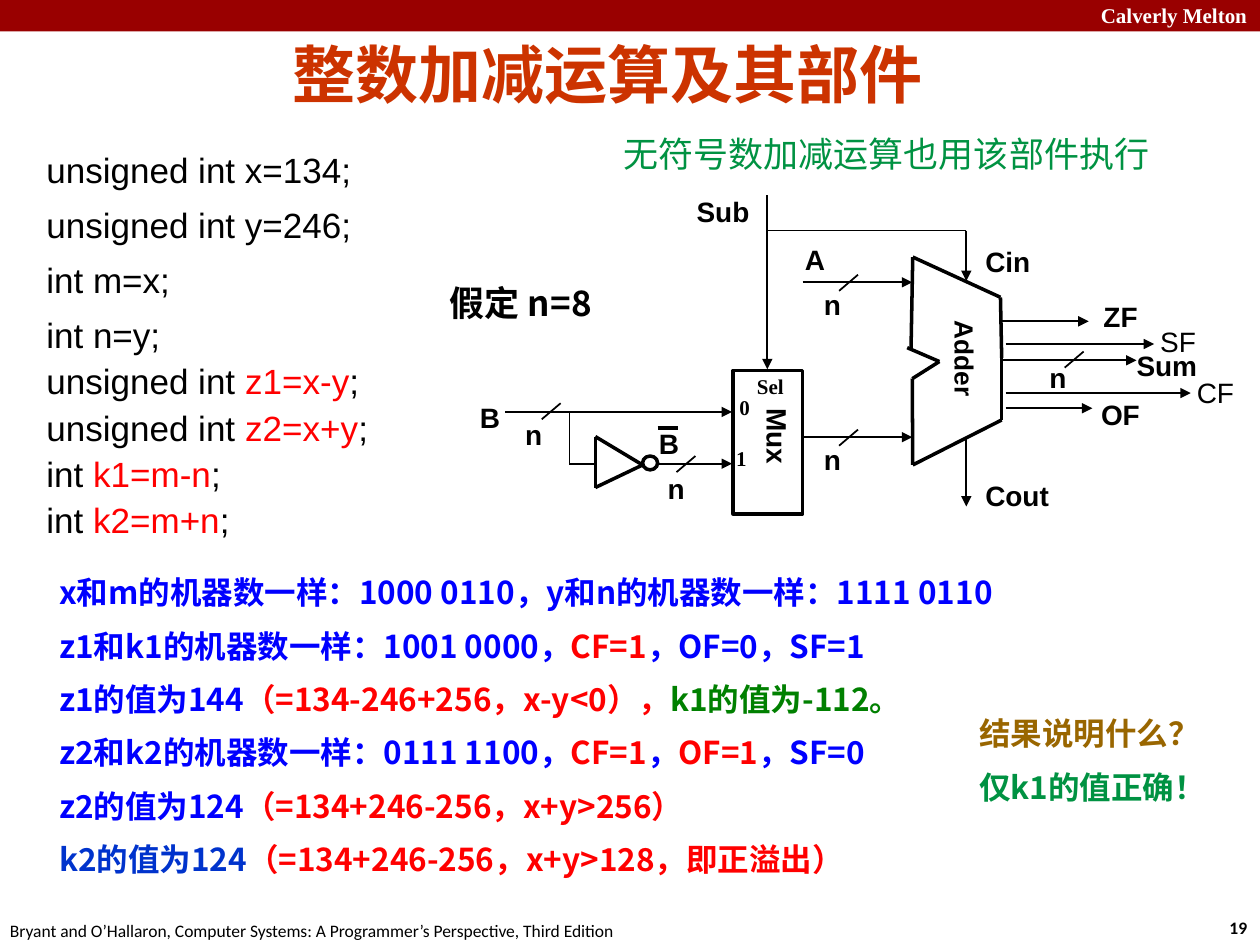
from itertools import pairwise

from lxml.etree import SubElement
from pptx import Presentation
from pptx.dml.color import RGBColor
from pptx.enum.shapes import MSO_CONNECTOR as Link, MSO_SHAPE as Preset
from pptx.enum.text import MSO_ANCHOR as Anchor, PP_ALIGN as Align
from pptx.oxml.ns import qn
from pptx.util import Pt

COLORS = {
    "black": "000000", "white": "FFFFFF", "banner": "990000", "title": "CC3300",
    "green": "009242", "leaf": "008000", "red": "FF0000", "blue": "0000FF",
    "navy": "0033CC", "brown": "996600",
}
CJK = "Noto Sans CJK SC"
SERIF = "Times New Roman"


def rgb(name):
    """Return the named colour."""
    return RGBColor.from_string(COLORS[name])


def write(frame, paras, font="Arial", size=16, color="black", bold=False,
          align=None, leading=None, before=()):
    """Fill a frame; each para is a string or a list of (text, colour) spans."""
    for index, spans in enumerate(paras):
        para = frame.paragraphs[0] if index == 0 else frame.add_paragraph()
        para.alignment = align
        if leading:
            para.line_spacing = leading
        if index < len(before):
            para.space_before = Pt(before[index])
        if isinstance(spans, str):
            spans = [(spans, color)]
        for text, tint in spans:
            span = para.add_run()
            span.text = text
            span.font.name = font
            span.font.size = Pt(size)
            span.font.bold = bold
            span.font.color.rgb = rgb(tint)
            SubElement(span.font._element, qn("a:ea"), typeface=CJK)


class Sheet:
    """Holds the current slide and draws on it, with lengths in points."""

    def __init__(self, page):
        self.shapes = page.shapes

    def text(self, left, top, width, height, paras, wrap=True, turn=0,
             anchor=Anchor.TOP, margins=(7.2, 3.6), **style):
        """Add a text box."""
        box = self.shapes.add_textbox(Pt(left), Pt(top), Pt(width), Pt(height))
        box.rotation = turn
        frame = box.text_frame
        frame.word_wrap = wrap
        frame.vertical_anchor = anchor
        frame.margin_left = frame.margin_right = Pt(margins[0])
        frame.margin_top = frame.margin_bottom = Pt(margins[1])
        write(frame, [paras] if isinstance(paras, str) else paras, **style)

    def label(self, left, top, width, text, **style):
        """Add a one-line bold label of the circuit."""
        self.text(left, top, width, 26, text, wrap=False, bold=True, **style)

    def shape(self, preset, left, top, width, height, fill=None, line=None):
        """Add a preset shape with an optional fill and outline."""
        shape = self.shapes.add_shape(preset, Pt(left), Pt(top), Pt(width), Pt(height))
        shape.shadow.inherit = False
        if fill:
            shape.fill.solid()
            shape.fill.fore_color.rgb = rgb(fill)
        else:
            shape.fill.background()
        if line:
            shape.line.color.rgb = rgb("black")
            shape.line.width = Pt(line)
        else:
            shape.line.fill.background()
        return shape

    def line(self, start, end, weight=1, arrow=False):
        """Add a straight line, with an arrowhead at its end if asked."""
        wire = self.shapes.add_connector(Link.STRAIGHT, *map(Pt, start + end))
        wire.line.color.rgb = rgb("black")
        wire.line.width = Pt(weight)
        if arrow:
            SubElement(wire.line._get_or_add_ln(), qn("a:tailEnd"), type="triangle")
        SubElement(wire._element.spPr, qn("a:effectLst"))

    def outline(self, points, weight=2):
        """Join points by lines."""
        for start, end in pairwise(points):
            self.line(start, end, weight)


def draw_frame(sheet):
    """Draw the banner, footer and title."""
    sheet.shape(Preset.RECTANGLE, 0, 0, 720, 18, fill="banner")
    sheet.text(622, -2.2, 103, 21.6, "Calverly Melton", wrap=False, font=SERIF,
               size=12, color="white", bold=True)
    sheet.text(695.5, 520.6, 26.6, 19.4, "19", wrap=False, font="Calibri",
               size=10, bold=True)
    sheet.text(-1.4, 522, 365.8, 19.4,
               "Bryant and O’Hallaron, Computer Systems: "
               "A Programmer’s Perspective, Third Edition",
               wrap=False, font="Calibri", size=10)
    sheet.text(23, 18, 648, 47.5, "整数加减运算及其部件", font="Arial Narrow", size=36,
               color="title", bold=True, align=Align.CENTER, anchor=Anchor.MIDDLE,
               margins=(5, 2.2))


def draw_texts(sheet):
    """Write the code, the results and the remarks."""
    note = sheet.shape(Preset.RECTANGLE, 349.2, 72, 340.6, 31, fill="white")
    note.text_frame.word_wrap = True
    note.text_frame.vertical_anchor = Anchor.MIDDLE
    write(note.text_frame, ["无符号数加减运算也用该部件执行"], size=20,
          color="green", align=Align.LEFT)

    code = ["unsigned int x=134;", "unsigned int y=246;", "int m=x;", "int n=y;"]
    for kind, formula in (("unsigned int", "z1=x-y"), ("unsigned int", "z2=x+y"),
                          ("int", "k1=m-n"), ("int", "k2=m+n")):
        code.append([(kind + " ", "black"), (formula, "red"), (";", "black")])
    sheet.text(19.4, 79.2, 308.2, 236.2, code, size=20, leading=1.1, before=[5] * 4)

    results = [
        "x和m的机器数一样：1000 0110，y和n的机器数一样：1111 0110",
        [("z1和k1的机器数一样：1001 0000，", "blue"), ("CF=1", "red"),
         ("，OF=0，SF=1", "blue")],
        [("z1的值为144", "blue"), ("（=134-246+256，x-y<0），", "red"),
         ("k1的值为-112。", "leaf")],
        [("z2和k2的机器数一样：0111 1100，", "blue"), ("CF=1", "red"),
         ("，", "blue"), ("OF=1", "red"), ("，SF=0", "blue")],
        [("z2的值为124", "blue"), ("（=134+246-256，x+y>256）", "red")],
        [("k2的值为124", "navy"), ("（=134+246-256，x+y>128，即正溢出）", "red")],
    ]
    remark = dict(font=CJK, size=18, bold=True, leading=Pt(21.5), before=[9] * 6)
    sheet.text(26.8, 324.2, 652.3, 191.5, results, color="blue", **remark)
    sheet.text(250, 157.5, 113, 31, "假定 n=8", font=CJK, size=20, bold=True,
               leading=Pt(24))
    sheet.text(552.5, 404.8, 155.5, 61.2,
               [[("结果说明什么？", "brown")], [("仅k1的值正确！", "green")]], **remark)


def draw_circuit(sheet):
    """Draw the adder, the multiplexer, the inverter and their wires."""
    sheet.outline([(520.6, 199.4), (521.6, 146.9), (571.7, 169.9), (572.4, 204.5),
                   (572.4, 240), (521.6, 265.7), (521.3, 216.4), (536.8, 206.6),
                   (518.4, 198.7)])
    sheet.outline([(367.2, 265.7), (340.2, 249.5), (340.2, 278.6), (367.2, 265.7)])
    sheet.shape(Preset.OVAL, 367.2, 260.6, 8.6, 7.9, line=2)
    sheet.shape(Preset.RECTANGLE, 419, 211.7, 39.6, 82.1, line=2)

    arrows = [
        ((458.6, 161.3), (521.3, 161.3)), ((458.6, 249.8), (521.3, 249.8)),
        ((288.7, 235.4), (418.3, 235.4)), ((376.6, 265), (418.3, 265)),
        ((438.5, 111.6), (438.5, 211)), ((552.2, 131.8), (552.2, 160.6)),
        ((552.2, 250.6), (552.2, 289.4)), ((572.4, 183.6), (622.1, 183.6)),
        ((574.6, 196.6), (659.5, 196.6)), ((573.1, 205.9), (649.4, 205.9)),
        ((574.6, 224.6), (680.4, 224.6)), ((574.6, 233.3), (624.2, 233.3)),
    ]
    for start, end in arrows:
        sheet.line(start, end, arrow=True)
    sheet.line((552.2, 131.8), (438.5, 131.8))
    sheet.outline([(325.4, 235.4), (325.4, 265), (339.8, 265)], weight=1)
    sheet.line((375.8, 244.8), (387.4, 244.8), 2.25)

    bus_marks = [(490.3, 157, -26.6, 4), (490.3, 245.5, -26.6, 4),
                 (619.2, 200.9, -26.6, 1.4), (320.4, 230.4, -27.4, 4.8),
                 (397.4, 260.6, -23, 5.4)]
    for x, y, shift, drop in bus_marks:
        sheet.line((x, y), (x - 10.8, y + 9.2))
        sheet.label(x + shift, y + drop, 23.8, "n")

    labels = [
        ("Sub", 391, 107.6, 46), ("A", 452.9, 135, 26), ("B", 267.1, 225.2, 26),
        ("B", 369.4, 240.2, 26), ("Cin", 556, 136.4, 42), ("Cout", 556, 270, 56),
        ("ZF", 623.5, 167.8, 36), ("Sum", 642.4, 195.8, 51), ("OF", 622.1, 223.6, 38),
    ]
    for text, left, top, width in labels:
        sheet.label(left, top, width, text)
    for text, left, top, width in (("0", 415.4, 221.8, 20.2), ("1", 413.5, 251.3, 20.2),
                                   ("Sel", 425.5, 209.7, 31)):
        sheet.label(left, top, width, text, font=SERIF, size=12)
    sheet.text(514.8, 200.2, 73.4, 25.2, "Adder", turn=90, size=15, bold=True)
    sheet.text(416.2, 241.2, 56.2, 26.6, "Mux", turn=90, bold=True)
    sheet.text(655.9, 182.2, 42.5, 26.6, "SF")
    sheet.text(676.8, 211, 43.2, 26.6, "CF")


def main():
    """Build the deck and save it."""
    deck = Presentation()
    deck.slide_width, deck.slide_height = Pt(720), Pt(540)
    sheet = Sheet(deck.slides.add_slide(deck.slide_layouts[6]))
    draw_frame(sheet)
    draw_texts(sheet)
    draw_circuit(sheet)
    deck.save("out.pptx")


main()
